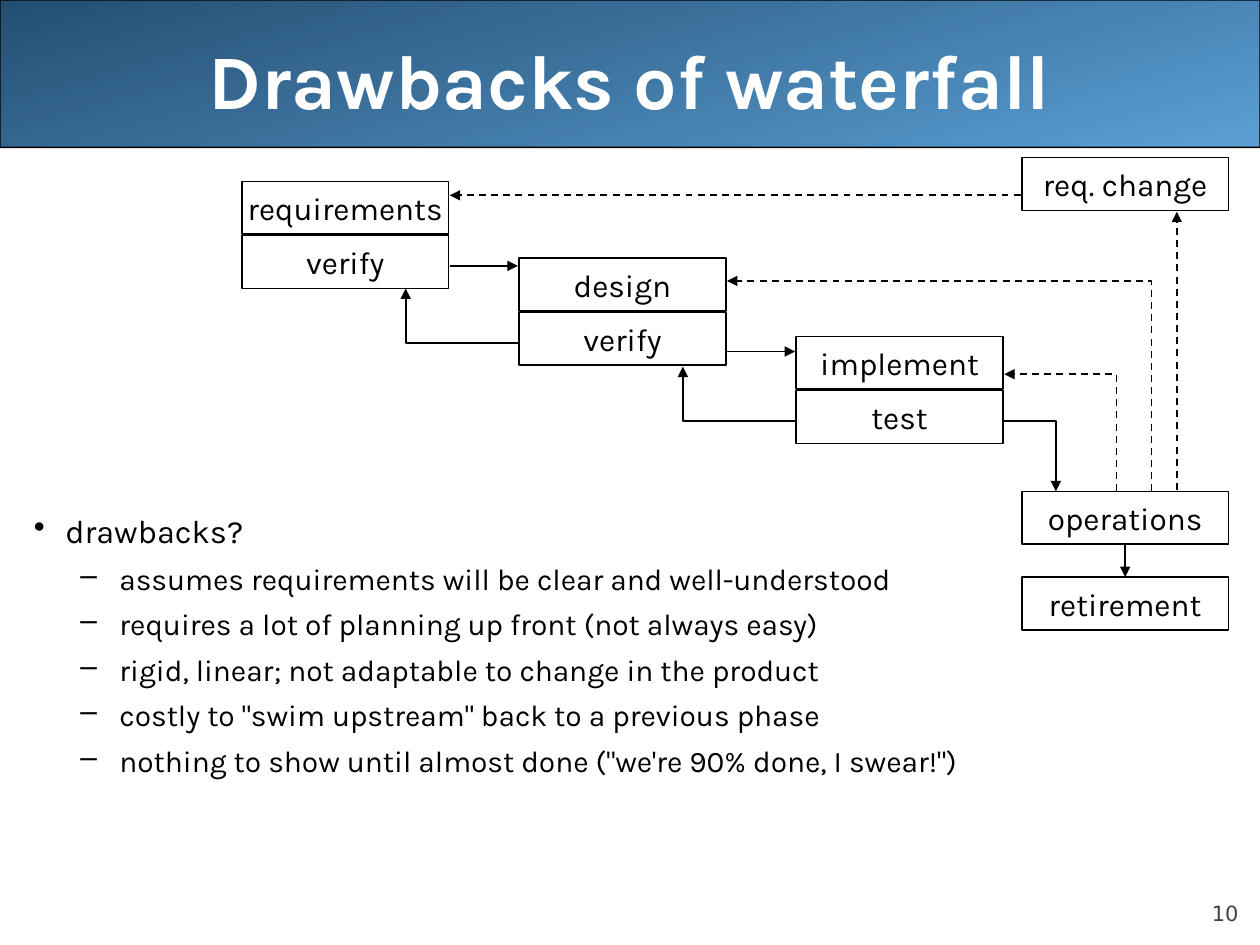
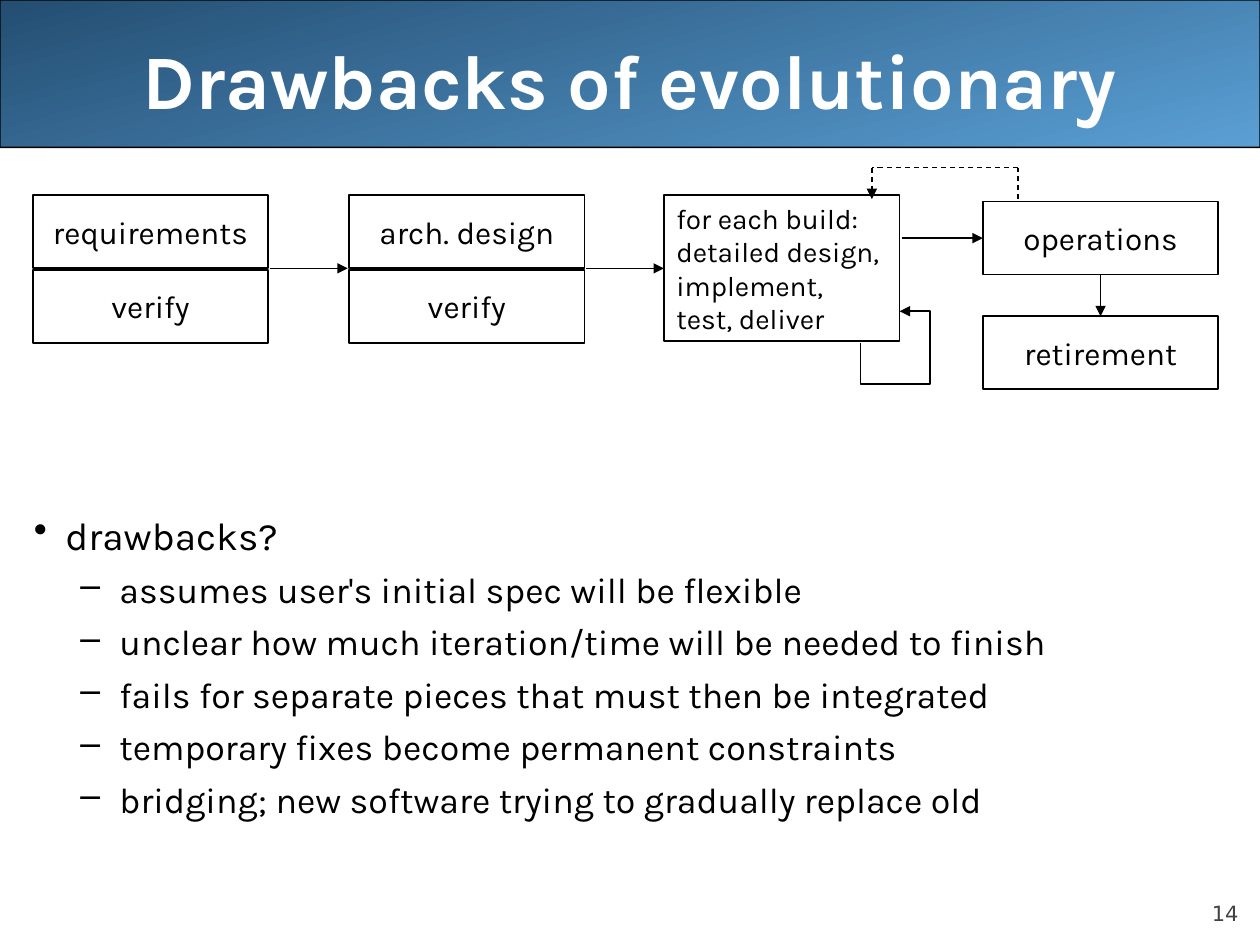
from lxml import etree
from pptx import Presentation
from pptx.dml.color import RGBColor
from pptx.enum.dml import MSO_LINE
from pptx.enum.shapes import MSO_CONNECTOR, MSO_SHAPE
from pptx.enum.text import MSO_ANCHOR, PP_ALIGN
from pptx.oxml.ns import qn
from pptx.util import Inches, Pt

# Shared look
BLACK = RGBColor(0x00, 0x00, 0x00)
WHITE = RGBColor(0xFF, 0xFF, 0xFF)
GRAY = RGBColor(0x42, 0x42, 0x42)
BAND_DARK = RGBColor(0x24, 0x4E, 0x72)
BAND_LIGHT = RGBColor(0x5A, 0x9F, 0xD4)
BODY_FONT = "Karla"
NUMBER_FONT = "DejaVu Sans"

LEFT, CENTER, RIGHT = PP_ALIGN.LEFT, PP_ALIGN.CENTER, PP_ALIGN.RIGHT
TOP, MIDDLE, BOTTOM = MSO_ANCHOR.TOP, MSO_ANCHOR.MIDDLE, MSO_ANCHOR.BOTTOM
RECTANGLE, ROUNDED = MSO_SHAPE.RECTANGLE, MSO_SHAPE.ROUNDED_RECTANGLE
STRAIGHT = MSO_CONNECTOR.STRAIGHT
DASH = MSO_LINE.DASH
SIDE_LEFT, SIDE_TOP, SIDE_BOTTOM = 1, 0, 2


def inches(*values):
    return [Inches(value) for value in values]


def style(paragraph, size, color=BLACK, name=BODY_FONT, bold=False, align=LEFT):
    paragraph.alignment = align
    font = paragraph.font
    font.size, font.name, font.bold = Pt(size), name, bold
    font.color.rgb = color


def add_label(page, area, text, size, anchor, **look):
    """One line of text without a frame."""
    box = page.shapes.add_textbox(*inches(*area))
    frame = box.text_frame
    frame.word_wrap = True
    frame.vertical_anchor = anchor
    frame.text = text
    style(frame.paragraphs[0], size, **look)
    return frame


def add_page(deck, title, number):
    """Blank page with the gradient band, the title and the page number."""
    page = deck.slides.add_slide(deck.slide_layouts[6])
    band = page.shapes.add_shape(ROUNDED, *inches(0, 0, 10, 1.17))
    band.adjustments[0] = 0.001
    band.shadow.inherit = False
    band.fill.gradient()
    band.fill.gradient_angle = 285
    for stop, color in zip(band.fill.gradient_stops, (BAND_DARK, BAND_LIGHT)):
        stop.color.rgb = color
    band.line.color.rgb = BLACK
    band.line.width = Pt(0.75)

    add_label(page, (0.5, 0, 9, 1.25), title, 44, MIDDLE,
              color=WHITE, bold=True, align=CENTER)
    frame = add_label(page, (9, 6.95, 0.83, 0.4), number, 12, BOTTOM,
                      color=GRAY, name=NUMBER_FONT, align=RIGHT)
    frame.margin_left = frame.margin_right = 0
    frame.margin_top = frame.margin_bottom = 0
    return page


def add_bullet(paragraph, mark, margin, indent):
    properties = paragraph._p.get_or_add_pPr()
    properties.set("marL", str(Inches(margin)))
    properties.set("indent", str(Inches(indent)))
    etree.SubElement(properties, qn("a:buChar")).set("char", mark)


def add_drawbacks(page, points, head_size, point_size):
    box = page.shapes.add_textbox(*inches(0.17, 4.01, 9.83, 3.08))
    frame = box.text_frame
    frame.word_wrap = True
    head = frame.paragraphs[0]
    head.text = "drawbacks?"
    add_bullet(head, "•", 0.25, -0.25)
    style(head, head_size)
    for point in points:
        paragraph = frame.add_paragraph()
        paragraph.text = point
        paragraph.level = 1
        paragraph.space_before = Pt(5.5)
        add_bullet(paragraph, "–", 0.68, -0.31)
        style(paragraph, point_size)


def add_step(page, left, top, size, lines, font_size=18, align=CENTER):
    """White box holding one phase of the process."""
    box = page.shapes.add_shape(RECTANGLE, *inches(left, top, *size))
    box.shadow.inherit = False
    box.fill.solid()
    box.fill.fore_color.rgb = WHITE
    box.line.color.rgb = BLACK
    box.line.width = Pt(1)
    frame = box.text_frame
    frame.word_wrap = False
    frame.vertical_anchor = MIDDLE
    frame.text = "\n".join(lines)
    for paragraph in frame.paragraphs:
        style(paragraph, font_size, align=align)
    return box


def add_steps(page, size, gap, steps):
    """Stacks of boxes, each given as left, top and its labels."""
    boxes = {}
    for left, top, *labels in steps:
        for row, label in enumerate(labels):
            row_top = top + row * (size[1] + gap)
            boxes[label] = add_step(page, left, row_top, size, [label])
    return boxes


def style_line(line, dashed, arrow, width):
    line.color.rgb = BLACK
    line.width = Pt(width)
    if dashed:
        line.dash_style = DASH
    if arrow:
        etree.SubElement(line._get_or_add_ln(), qn("a:tailEnd")).set("type", "triangle")


def add_line(page, start, end, dashed=False, arrow=True, width=1):
    connector = page.shapes.add_connector(STRAIGHT, *inches(*start, *end))
    style_line(connector.line, dashed, arrow, width)
    etree.SubElement(connector._element.spPr, qn("a:effectLst"))
    return connector


def add_bent_arrow(page, points, dashed=False):
    start, *rest = [tuple(inches(*point)) for point in points]
    builder = page.shapes.build_freeform(*start)
    builder.add_line_segments(rest, close=False)
    path = builder.convert_to_shape()
    path.shadow.inherit = False
    path.fill.background()
    style_line(path.line, dashed, True, 1)


def add_retirement_arrow(page, boxes, x, top, bottom):
    arrow = add_line(page, (x, top), (x, bottom))
    arrow.begin_connect(boxes["operations"], SIDE_BOTTOM)
    arrow.end_connect(boxes["retirement"], SIDE_TOP)


def build_waterfall(deck):
    page = add_page(deck, "Drawbacks of waterfall", "10")
    add_drawbacks(page, [
        "assumes requirements will be clear and well-understood",
        "requires a lot of planning up front (not always easy)",
        "rigid, linear; not adaptable to change in the product",
        'costly to "swim upstream" back to a previous phase',
        'nothing to show until almost done ("we\'re 90% done, I swear!")',
    ], 18.6, 17.1)

    boxes = add_steps(page, (1.64, 0.42), 0.01, [
        (1.92, 1.44, "requirements", "verify"),
        (4.12, 2.05, "design", "verify"),
        (6.32, 2.67, "implement", "test"),
        (8.11, 1.25, "req. change"),
        (8.11, 3.9, "operations"),
        (8.11, 4.58, "retirement"),
    ])

    # Forward steps
    add_line(page, (3.57, 2.11), (4.11, 2.11))
    add_line(page, (5.77, 2.79), (6.31, 2.79))
    add_bent_arrow(page, [(7.97, 3.34), (8.38, 3.34), (8.38, 3.9)])
    add_retirement_arrow(page, boxes, 8.93, 4.32, 4.58)

    # Steps back to the previous phase
    for right, bottom in ((4.12, 2.72), (6.32, 3.34)):
        turn = right - 0.9
        add_bent_arrow(page, [(right, bottom), (turn, bottom), (turn, bottom - 0.43)])

    # Feedback from operations
    for x, y, end in ((9.14, 2.23, 5.77), (8.86, 2.97, 7.97)):
        add_bent_arrow(page, [(x, 3.9), (x, y), (end, y)], dashed=True)
    add_line(page, (9.34, 3.89), (9.34, 1.68), dashed=True)
    add_line(page, (8.1, 1.55), (3.57, 1.55), dashed=True)


def build_evolutionary(deck):
    page = add_page(deck, "Drawbacks of evolutionary", "14")
    add_drawbacks(page, [
        "assumes user's initial spec will be flexible",
        "unclear how much iteration/time will be needed to finish",
        "fails for separate pieces that must then be integrated",
        "temporary fixes become permanent constraints",
        "bridging; new software trying to gradually replace old",
    ], 22.2, 20.4)

    build = add_step(page, 5.27, 1.55, (1.87, 1.16), [
        "for each build:", "detailed design,", "implement,", "test, deliver",
    ], 16, LEFT)
    boxes = add_steps(page, (1.87, 0.58), 0.01, [
        (0.26, 1.55, "requirements", "verify"),
        (2.77, 1.55, "arch. design", "verify"),
        (7.8, 1.6, "operations"),
        (7.8, 2.51, "retirement"),
    ])

    # Forward steps
    add_line(page, (2.14, 2.13), (2.76, 2.13))
    add_line(page, (4.65, 2.13), (5.27, 2.13)).end_connect(build, SIDE_LEFT)
    to_operations = add_line(page, (7.16, 1.89), (7.8, 1.89))
    to_operations.end_connect(boxes["operations"], SIDE_LEFT)
    add_retirement_arrow(page, boxes, 8.73, 2.18, 2.51)

    # Repeat of the build
    add_bent_arrow(page, [(6.83, 2.72), (6.83, 3.05), (7.38, 3.05),
                          (7.38, 2.47), (7.14, 2.47)])

    # Feedback from operations
    route = [(8.08, 1.58), (8.08, 1.33), (6.92, 1.33), (6.92, 1.58)]
    for start, end in zip(route, route[1:]):
        add_line(page, start, end, dashed=True, arrow=end == route[-1], width=0.75)


def main():
    deck = Presentation()
    deck.slide_width, deck.slide_height = inches(10, 7.5)
    build_waterfall(deck)
    build_evolutionary(deck)
    deck.save("out.pptx")


if __name__ == "__main__":
    main()
